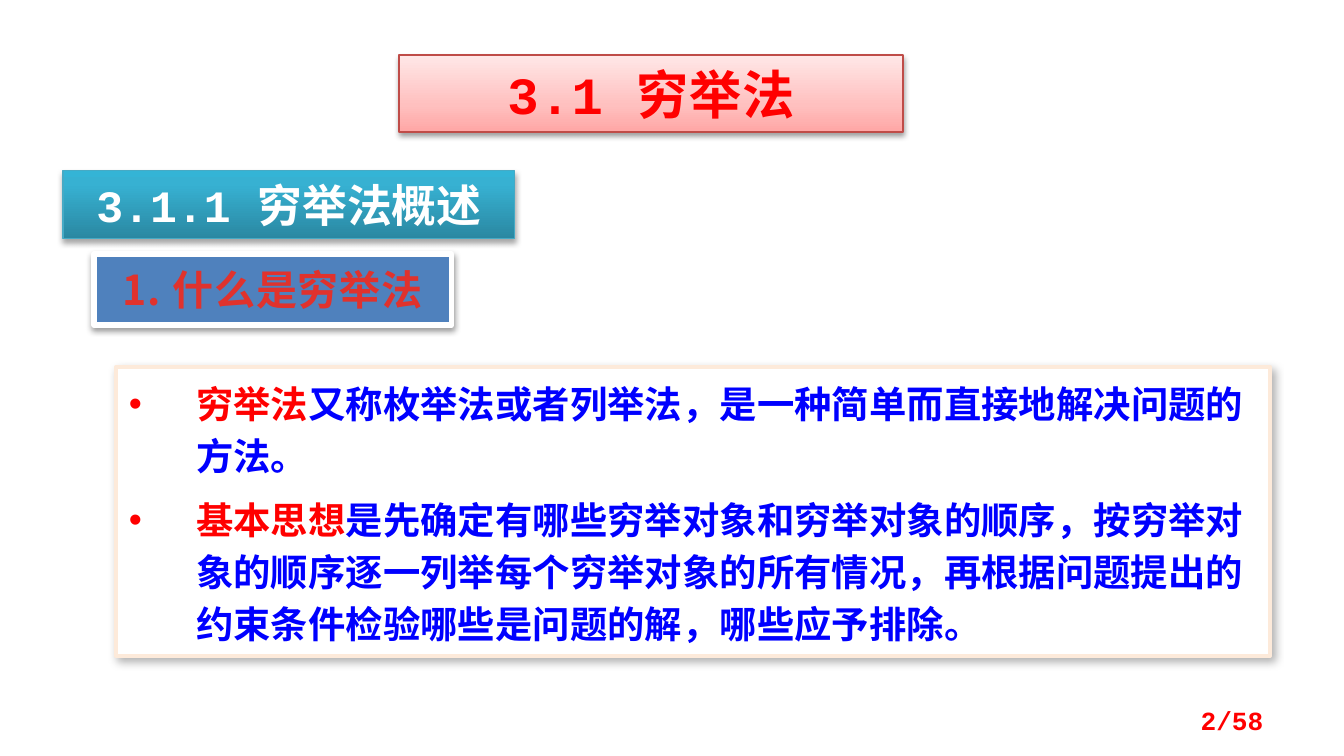
from dataclasses import dataclass

from lxml import etree
from pptx import Presentation
from pptx.dml.color import RGBColor
from pptx.enum.shapes import MSO_SHAPE
from pptx.enum.text import MSO_ANCHOR, MSO_AUTO_SIZE, PP_ALIGN
from pptx.oxml.ns import qn
from pptx.util import Pt

RECTANGLE = MSO_SHAPE.RECTANGLE
TOP, MIDDLE = MSO_ANCHOR.TOP, MSO_ANCHOR.MIDDLE
LEFT, CENTER, RIGHT = PP_ALIGN.LEFT, PP_ALIGN.CENTER, PP_ALIGN.RIGHT
NO_AUTOFIT = MSO_AUTO_SIZE.NONE
TITLE_ONLY = 5


@dataclass(frozen=True)
class Theme:
    mono: str = "Courier New"
    sans: str = "Noto Sans CJK SC"
    red: str = "FF0000"
    blue: str = "0000FF"
    white: str = "FFFFFF"
    steel: str = "4F81BD"
    peach: str = "FDEADA"
    title_line: str = "BF4C48"
    section_line: str = "46AAC5"
    # Gradients: (position in percent, colour)
    title_fill: tuple = ((0, "FFA6A5"), (35, "FFC0BF"), (100, "FFE7E7"))
    section_fill: tuple = ((0, "2A88A2"), (80, "37B1D2"), (100, "34B4D6"))
    topic_ink: tuple = ((25, "E0322D"), (100, "A2201C"))
    # Shadows: opacity, blur, distance, direction
    soft_shadow: tuple = (38, 3.15, 1.6, 90)
    section_shadow: tuple = (35, 3.15, 1.8, 90)
    body_shadow: tuple = (30, 4.5, 2.6, 53)
    title_size: int = 28
    section_size: int = 24
    topic_size: int = 22
    body_size: int = 20
    page_size: int = 14


class SlideBuilder:
    def __init__(self, slide, theme):
        self.slide = slide
        self.theme = theme

    def paint(self, fill, owner, colour, angle):
        """Fill with one colour, or with a gradient when given stops."""
        if isinstance(colour, str):
            fill.solid()
            fill.fore_color.rgb = RGBColor.from_string(colour)
            return
        fill.gradient()
        fill.gradient_angle = angle
        stops = owner.find(qn("a:gradFill")).find(qn("a:gsLst"))
        for stop in list(stops):
            stops.remove(stop)
        for position, value in colour:
            stop = etree.SubElement(stops, qn("a:gs"), pos=str(position * 1000))
            etree.SubElement(stop, qn("a:srgbClr"), val=value)

    def shadow(self, shape, opacity, blur, distance, direction):
        shape.shadow.inherit = False
        effects = shape._element.spPr.find(qn("a:effectLst"))
        outer = etree.SubElement(
            effects, qn("a:outerShdw"), blurRad=str(Pt(blur)), dist=str(Pt(distance)),
            dir=str(direction * 60000), rotWithShape="0")
        colour = etree.SubElement(outer, qn("a:srgbClr"), val="000000")
        etree.SubElement(colour, qn("a:alpha"), val=str(opacity * 1000))

    def style(self, shape, fill, line, width, shadow):
        self.paint(shape.fill, shape._element.spPr, fill, 90)
        shape.line.color.rgb = RGBColor.from_string(line)
        shape.line.width = Pt(width)
        self.shadow(shape, *shadow)

    def frame(self, shape, anchor=TOP, inset=3.6):
        frame = shape.text_frame
        frame.word_wrap = True
        frame.auto_size = NO_AUTOFIT
        frame.vertical_anchor = anchor
        frame.margin_left = frame.margin_right = Pt(7.2)
        frame.margin_top = frame.margin_bottom = Pt(inset)
        return frame

    def run(self, paragraph, text, font, size, colour, spacing=0):
        run = paragraph.add_run()
        run.text = text
        run.font.name = font
        run.font.size = Pt(size)
        run.font.bold = True
        properties = run.font._element
        self.paint(run.font.fill, properties, colour, 270)
        east_asian = etree.Element(qn("a:ea"), typeface=self.theme.sans)
        properties.find(qn("a:latin")).addnext(east_asian)
        if spacing:
            properties.set("spc", str(int(spacing * 100)))

    def line_of_text(self, frame, align, *run):
        paragraph = frame.paragraphs[0]
        paragraph.alignment = align
        self.run(paragraph, *run)

    def title(self, box, text):
        theme, title = self.theme, self.slide.shapes.title
        title.left, title.top, title.width, title.height = map(Pt, box)
        self.style(title, theme.title_fill, theme.title_line, 0.75, theme.soft_shadow)
        self.line_of_text(self.frame(title), CENTER, text, theme.mono,
                          theme.title_size, theme.red, 0.5)

    def panel(self, box, *look):
        panel = self.slide.shapes.add_shape(RECTANGLE, *map(Pt, box))
        self.style(panel, *look)
        return panel

    def heading(self, box, look, run, inset=3.6):
        frame = self.frame(self.panel(box, *look), inset=inset)
        self.line_of_text(frame, CENTER, *run)

    def bullets(self, box, look, items):
        theme = self.theme
        frame = self.frame(self.panel(box, *look))
        for index, (term, explanation) in enumerate(items):
            paragraph = frame.add_paragraph() if index else frame.paragraphs[0]
            paragraph.alignment = LEFT
            paragraph.line_spacing = Pt(28)
            paragraph.space_before = Pt(6 if index else 0)
            properties = paragraph._p.get_or_add_pPr()
            properties.set("marL", str(Pt(36)))
            properties.set("indent", str(Pt(-36)))
            etree.SubElement(properties, qn("a:buFont"), typeface="Arial")
            etree.SubElement(properties, qn("a:buChar"), char="•")
            self.run(paragraph, term, theme.sans, theme.body_size, theme.red)
            self.run(paragraph, explanation, theme.sans, theme.body_size, theme.blue)

    def page_number(self, box, text):
        theme = self.theme
        frame = self.frame(self.slide.shapes.add_textbox(*map(Pt, box)), MIDDLE)
        self.line_of_text(frame, RIGHT, text, theme.mono, theme.page_size, theme.red)


def main():
    presentation = Presentation()
    presentation.slide_width, presentation.slide_height = Pt(720), Pt(405)
    slide = presentation.slides.add_slide(presentation.slide_layouts[TITLE_ONLY])
    theme = Theme()
    builder = SlideBuilder(slide, theme)

    # Chapter title
    builder.title((213.8, 29.5, 270, 41.2), "3.1 穷举法")

    # Definition and basic idea
    builder.bullets(
        (62, 196.6, 618.5, 154.8),
        (theme.white, theme.peach, 2, theme.body_shadow),
        [
            ("穷举法", "又称枚举法或者列举法，是一种简单而直接地解决问题的方法。"),
            ("基本思想", "是先确定有哪些穷举对象和穷举对象的顺序，按穷举对象的顺序逐一列举"
             "每个穷举对象的所有情况，再根据问题提出的约束条件检验哪些是问题的解，哪些应予排除。"),
        ])

    # Section and topic headings
    builder.heading(
        (33.8, 91.4, 242, 36.3),
        (theme.section_fill, theme.section_line, 0.75, theme.section_shadow),
        ("3.1.1 穷举法概述", theme.mono, theme.section_size, theme.white))
    builder.heading(
        (50.4, 136.1, 191.5, 38.2),
        (theme.steel, theme.white, 3, theme.soft_shadow),
        ("1. 什么是穷举法", theme.sans, theme.topic_size, theme.topic_ink, 0.5),
        inset=5.8)

    # Page number
    builder.page_number((516.2, 375.1, 167.8, 21.6), "2/58")

    presentation.save("out.pptx")


if __name__ == "__main__":
    main()
